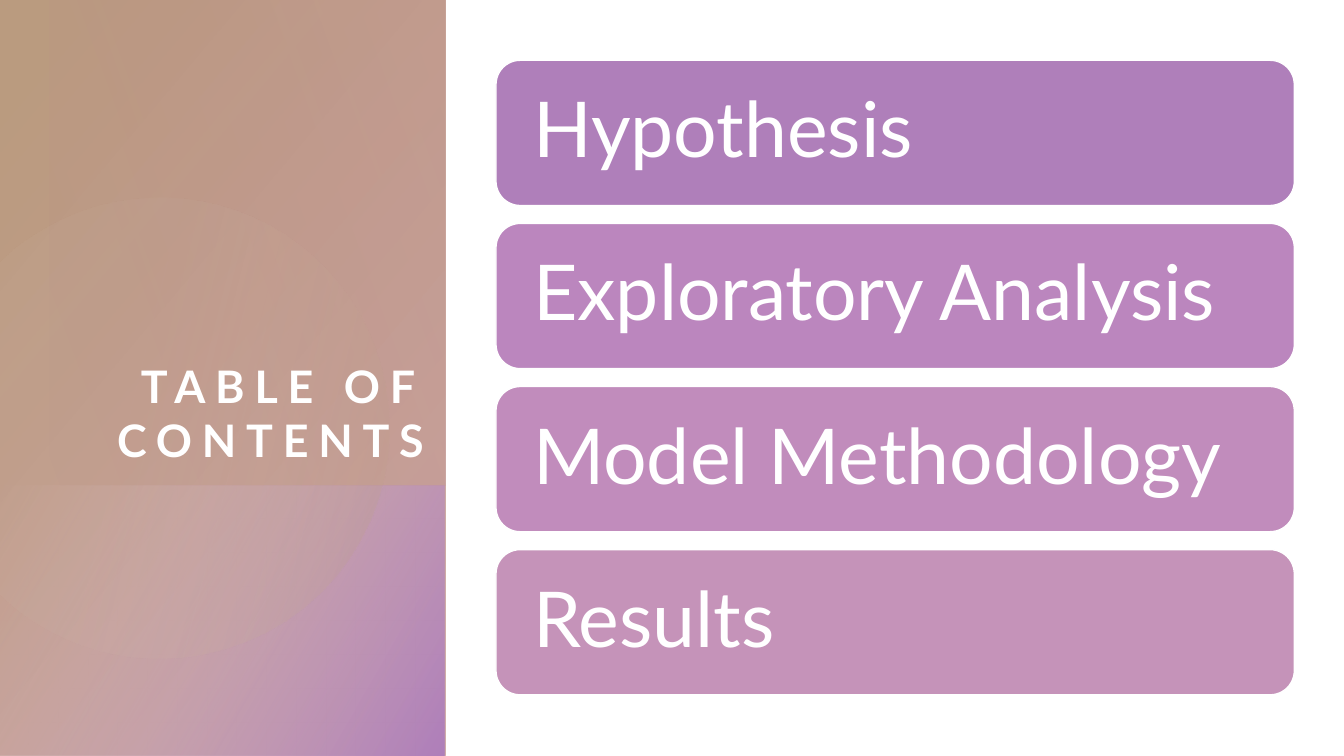
from lxml.etree import SubElement
from pptx import Presentation
from pptx.dml.color import RGBColor
from pptx.enum.shapes import MSO_SHAPE
from pptx.enum.text import MSO_ANCHOR, PP_ALIGN
from pptx.oxml.ns import qn
from pptx.util import Cm, Pt

COLORS = {
    "white": "FFFFFF", "sand": "BA9B7F", "rose": "C69996", "berry": "BA7F94",
    "blush": "DDC2C0", "purple": "AF7FBA", "beige": "D6C3B2",
}
FONT = "Lato"
TOPICS = [
    ("Hypothesis", "AF7FBA"),
    ("Exploratory Analysis", "BB86BE"),
    ("Model Methodology", "C18CBC"),
    ("Results", "C593B9"),
]
BAR_LEFT, BAR_TOP, BAR_WIDTH, BAR_HEIGHT, BAR_PITCH = 12.5, 1.52, 20.12, 3.66, 4.11

# Disc outline in cm, cut off by the slide's left edge: start, then cubic curves
DISC_START = (4.17, 4.98)
DISC_CURVES = [
    ((6.63, 5.03), (8.89, 6.68), (9.6, 9.19)),
    ((10.49, 12.27), (8.71, 15.49), (5.64, 16.36)),
    ((3.71, 16.92), (1.73, 16.43), (0.3, 15.24)),
    ((0.3, 15.24), (0, 14.96), (0, 14.96)),
    ((0, 14.96), (0, 6.63), (0, 6.63)),
    ((0, 6.63), (0.38, 6.27), (0.38, 6.27)),
    ((0.97, 5.82), (1.65, 5.44), (2.41, 5.21)),
    ((2.99, 5.05), (3.58, 4.98), (4.17, 4.98)),
]


def fill_gradient(s, stops, angle):
    """Apply (position %, colour name, opacity %) stops along an angle."""
    s.shadow.inherit = False
    s.line.fill.background()
    s.fill.gradient()
    grad = s._element.spPr.find(qn("a:gradFill"))
    for child in list(grad):
        grad.remove(child)
    grad.set("rotWithShape", "1")
    stop_list = SubElement(grad, qn("a:gsLst"))
    for position, name, opacity in stops:
        stop = SubElement(stop_list, qn("a:gs"), pos=str(position * 1000))
        color = SubElement(stop, qn("a:srgbClr"), val=COLORS[name])
        SubElement(color, qn("a:alpha"), val=str(opacity * 1000))
    SubElement(grad, qn("a:lin"), ang=str(angle * 60000), scaled="0")


def add_gradient_panel(slide, box, rotation, stops, angle):
    s = slide.shapes.add_shape(MSO_SHAPE.RECTANGLE, *map(Cm, box))
    s.rotation = rotation
    s._element.spPr.find(qn("a:xfrm")).set("flipH", "1")
    fill_gradient(s, stops, angle)


def curve_points(start, curves, steps=16):
    points = []
    for a, b, end in curves:
        for i in range(1, steps + 1):
            t = i / steps
            u = 1 - t
            points.append(tuple(
                Cm(u**3 * p0 + 3 * u * u * t * p1 + 3 * u * t * t * p2 + t**3 * p3)
                for p0, p1, p2, p3 in zip(start, a, b, end)))
        start = end
    return points


def add_disc(slide):
    builder = slide.shapes.build_freeform(*map(Cm, DISC_START))
    builder.add_line_segments(curve_points(DISC_START, DISC_CURVES), close=True)
    fill_gradient(builder.convert_to_shape(),
                  [(36, "beige", 6), (100, "sand", 26)], 14)


def set_text(s, text, size, anchor, align, inset):
    tf = s.text_frame
    tf.text = text
    tf.word_wrap = True
    tf.vertical_anchor = anchor
    tf.margin_left = tf.margin_right = Cm(inset)
    tf.margin_top = tf.margin_bottom = 0
    p = tf.paragraphs[0]
    p.alignment = align
    r = p.runs[0]
    r.font.name = FONT
    r.font.size = Pt(size)
    r.font.color.rgb = RGBColor.from_string(COLORS["white"])
    return p


def add_title(slide, text):
    s = slide.shapes.add_textbox(Cm(1.27), Cm(2.41), Cm(9.42), Cm(9.35))
    p = set_text(s, text, 32, MSO_ANCHOR.BOTTOM, PP_ALIGN.RIGHT, 0)
    r = p.runs[0]
    r.font.bold = True
    r.font._element.set("spc", "700")


def add_topic_bar(slide, top, text, color):
    s = slide.shapes.add_shape(MSO_SHAPE.ROUNDED_RECTANGLE, Cm(BAR_LEFT), Cm(top),
                               Cm(BAR_WIDTH), Cm(BAR_HEIGHT))
    s.shadow.inherit = False
    s.fill.solid()
    s.fill.fore_color.rgb = RGBColor.from_string(color)
    s.line.color.rgb = RGBColor.from_string(COLORS["white"])
    s.line.width = Pt(1)
    p = set_text(s, text, 55, MSO_ANCHOR.MIDDLE, PP_ALIGN.LEFT, 0.76)
    p.line_spacing = 0.9


def main():
    prs = Presentation()
    prs.slide_width, prs.slide_height = Cm(33.87), Cm(19.05)
    slide = prs.slides.add_slide(prs.slide_layouts[6])

    # Side panel: base colour, lower glow, disc and upper tint
    add_gradient_panel(slide, (-3.91, 3.91, 19.05, 11.23), 270,
                       [(8, "sand", 100), (100, "rose", 89)], 50)
    add_gradient_panel(slide, (2.18, 10.03, 6.83, 11.23), 270,
                       [(0, "blush", 0), (99, "purple", 100)], 60)
    add_disc(slide)
    add_gradient_panel(slide, (0.13, 1.14, 12.22, 9.96), 90,
                       [(0, "rose", 29), (100, "berry", 0)], 110)

    # Title and topics
    add_title(slide, "TABLE OF CONTENTS")
    for i, (text, color) in enumerate(TOPICS):
        add_topic_bar(slide, BAR_TOP + i * BAR_PITCH, text, color)

    prs.save("out.pptx")


if __name__ == "__main__":
    main()
